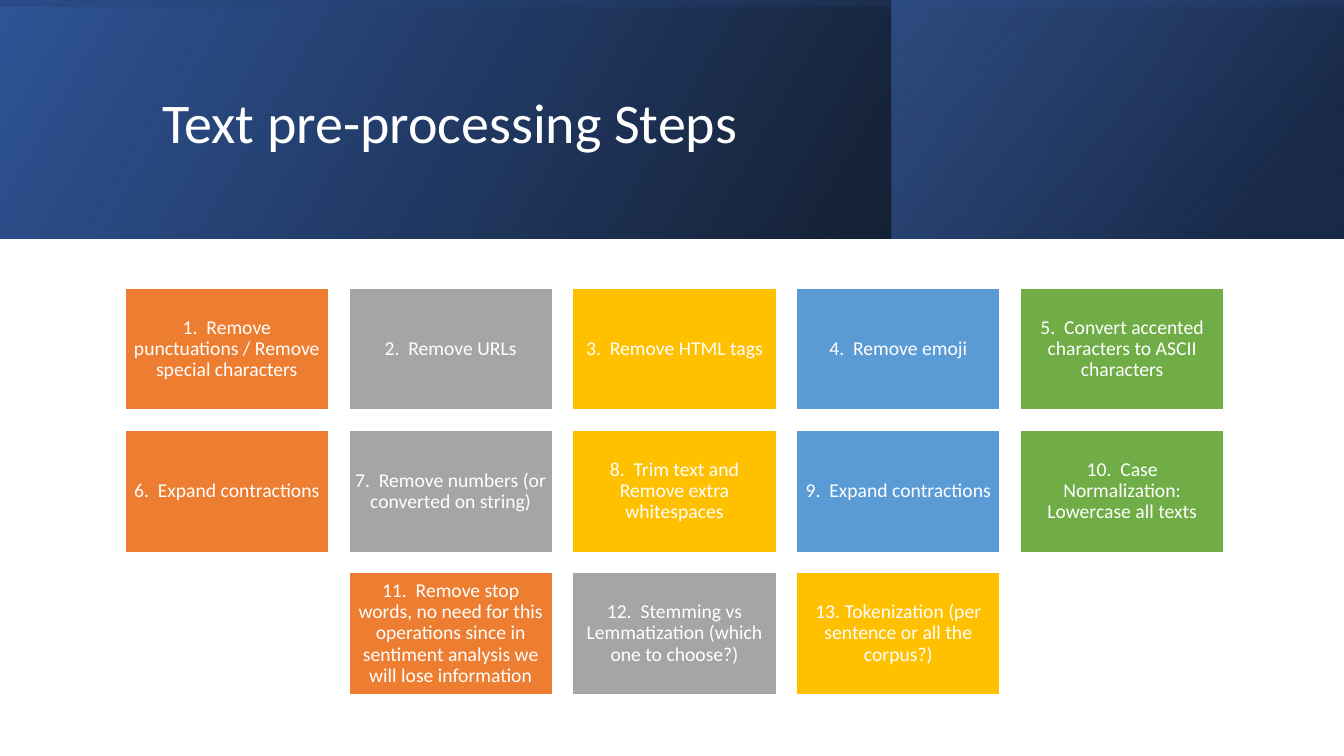
from pptx import Presentation
from pptx.dml.color import RGBColor
from pptx.enum.shapes import MSO_SHAPE as Shape
from pptx.enum.text import MSO_ANCHOR as Anchor, PP_ALIGN as Align
from pptx.oxml.ns import qn
from pptx.util import Inches, Pt
from lxml.etree import SubElement

COLORS = {
    "white": "FFFFFF", "black": "000000", "navy": "203864",
    "royal": "2F5597", "blue": "4472C4",
    "orange": "ED7D31", "gray": "A5A5A5", "yellow": "FFC000",
    "sky": "5B9BD5", "green": "70AD47",
}
CARD_COLORS = ["orange", "gray", "yellow", "sky", "green"]

STEP_ROWS = [
    ["1.  Remove punctuations / Remove special characters",
     "2.  Remove URLs",
     "3.  Remove HTML tags",
     "4.  Remove emoji",
     "5.  Convert accented characters to ASCII characters"],
    ["6.  Expand contractions",
     "7.  Remove numbers (or converted on string)",
     "8.  Trim text and Remove extra whitespaces",
     "9.  Expand contractions",
     "10.  Case Normalization: Lowercase all texts"],
    ["11.  Remove stop words, no need for this operations since in "
     "sentiment analysis we will lose information",
     "12.  Stemming vs Lemmatization (which one to choose?)",
     "13. Tokenization (per sentence or all the corpus?)"],
]

BANNER_LAYERS = [
    ((0, 0, 13.33, 2.37), 0, 330, [(0, "black", 96), (100, "royal", 100)]),
    ((8.84, 0, 4.48, 2.37), 0, 320, [(19, "navy", 68), (100, "blue", 48)]),
    ((5.48, -5.48, 2.37, 13.33), 270, 350, [(23, "royal", 16), (99, "black", 45)]),
]


def rgb(name):
    return RGBColor.from_string(COLORS[name])


def style_text(para, size, align):
    para.alignment = align
    para.line_spacing = 0.9
    para.font.name = "Calibri"
    para.font.size = Pt(size)
    para.font.color.rgb = rgb("white")


deck = Presentation()
deck.slide_width = Inches(13.33)
deck.slide_height = Inches(7.5)
page = deck.slides.add_slide(deck.slide_layouts[5])
title = page.shapes.title

for place, rotation, angle, stops in BANNER_LAYERS:
    layer = page.shapes.add_shape(Shape.RECTANGLE, *map(Inches, place))
    layer.rotation = rotation
    layer._element.spPr.get_or_add_xfrm().set("flipH", "1")
    layer.shadow.inherit = False
    layer.line.fill.background()
    layer.fill.gradient()
    layer.fill.gradient_angle = 360 - angle
    for stop, (position, color, opacity) in zip(layer.fill.gradient_stops, stops):
        stop.position = position / 100
        stop.color.rgb = rgb(color)
    for tint, (position, color, opacity) in zip(layer._element.spPr.iter(qn("a:srgbClr")), stops):
        SubElement(tint, qn("a:alpha")).set("val", str(opacity * 1000))

page.shapes._spTree.append(title._element)
title.left, title.top, title.width, title.height = map(Inches, (1.51, 0.38, 10.63, 1.72))
title.text_frame.text = "Text pre-processing Steps"
title.text_frame.vertical_anchor = Anchor.MIDDLE
style_text(title.text_frame.paragraphs[0], 40, Align.LEFT)

CARD_WIDTH, CARD_HEIGHT = 2.02, 1.21
COLUMN_STEP, ROW_STEP = 2.22, 1.41
for row, steps in enumerate(STEP_ROWS):
    indent = (len(CARD_COLORS) - len(steps)) / 2
    for column, (step, color) in enumerate(zip(steps, CARD_COLORS)):
        card = page.shapes.add_shape(
            Shape.RECTANGLE,
            Inches(1.24 + (column + indent) * COLUMN_STEP),
            Inches(2.86 + row * ROW_STEP),
            Inches(CARD_WIDTH), Inches(CARD_HEIGHT))
        card.shadow.inherit = False
        card.fill.solid()
        card.fill.fore_color.rgb = rgb(color)
        card.line.color.rgb = rgb("white")
        card.line.width = Pt(1)
        frame = card.text_frame
        frame.word_wrap = True
        frame.vertical_anchor = Anchor.MIDDLE
        frame.margin_left = frame.margin_right = Inches(0.06)
        frame.margin_top = frame.margin_bottom = Inches(0.06)
        frame.text = step
        style_text(frame.paragraphs[0], 14, Align.CENTER)

deck.save("out.pptx")
